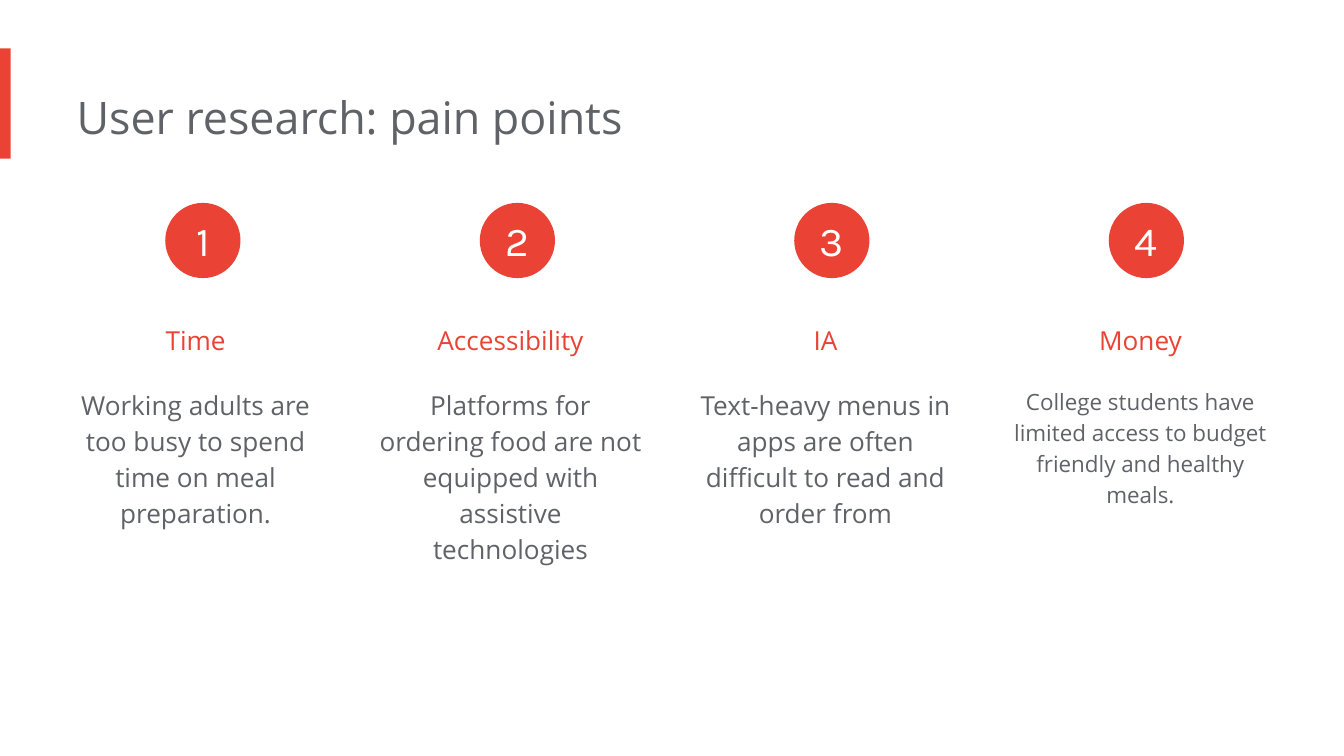
from pptx import Presentation
from pptx.dml.color import RGBColor
from pptx.enum.shapes import MSO_SHAPE as SHAPE
from pptx.enum.text import MSO_ANCHOR as ANCHOR, MSO_AUTO_SIZE as AUTO, PP_ALIGN as ALIGN
from pptx.util import Inches, Pt

RED, GREY, WHITE = "EA4335", "5F6368", "FFFFFF"
BODY_FONT, NUMBER_FONT = "Open Sans", "Karla"
FIRST_COL, LAST_COL, COL_WIDTH = 0.48, 7.51, 2.05
FIRST_BADGE, LAST_BADGE, BADGE_SIZE = 1.23, 8.25, 0.56
BADGE_ROW, HEADING_ROW, DETAIL_ROW = 1.51, 2.2, 2.76

PAIN_POINTS = [
    ("Time", "Working adults are too busy to spend time on meal preparation.", 14, 1.25),
    ("Accessibility", "Platforms for ordering food are not equipped with assistive technologies", 14, 1.76),
    ("IA", "Text-heavy menus in apps are often difficult to read and order from", 14, 1.25),
    ("Money", "College students have limited access to budget friendly and healthy meals.", 12, 1.1),
]


def color(value):
    return RGBColor.from_string(value)


def column_left(first, last, i):
    return first + (last - first) * i / (len(PAIN_POINTS) - 1)


def set_text(tf, text, size, font, fill, align=ALIGN.LEFT, spacing=None):
    p = tf.paragraphs[0]
    p.text = text
    p.alignment = align
    p.line_spacing = spacing
    r = p.runs[0]
    r.font.size = Pt(size)
    r.font.name = font
    r.font.color.rgb = color(fill)


def set_margins(tf, left, top, right, bottom):
    tf.margin_left, tf.margin_top = Inches(left), Inches(top)
    tf.margin_right, tf.margin_bottom = Inches(right), Inches(bottom)


def add_text(s, box, text, size, fill, align=ALIGN.LEFT, spacing=None):
    tf = s.shapes.add_textbox(*map(Inches, box)).text_frame
    tf.word_wrap = True
    tf.auto_size = AUTO.SHAPE_TO_FIT_TEXT
    set_margins(tf, 0, 0.1, 0.1, 0.1)
    set_text(tf, text, size, BODY_FONT, fill, align, spacing)


def add_solid(s, kind, box):
    sp = s.shapes.add_shape(kind, *map(Inches, box))
    sp.shadow.inherit = False
    sp.fill.solid()
    sp.fill.fore_color.rgb = color(RED)
    sp.line.fill.background()
    return sp


def add_badge(s, left, number):
    sp = add_solid(s, SHAPE.OVAL, (left, BADGE_ROW, BADGE_SIZE, BADGE_SIZE))
    tf = sp.text_frame
    tf.vertical_anchor = ANCHOR.MIDDLE
    set_margins(tf, 0, 0, 0, 0)
    set_text(tf, str(number), 22, NUMBER_FONT, WHITE, ALIGN.CENTER)


def add_pain_point(s, i, heading, detail, size, height):
    left = column_left(FIRST_COL, LAST_COL, i)
    add_text(s, (left, HEADING_ROW, COL_WIDTH, 0.44), heading, 14, RED, ALIGN.CENTER, 1.5)
    add_text(s, (left, DETAIL_ROW, COL_WIDTH, height), detail, size, GREY, ALIGN.CENTER, 1.15)
    add_badge(s, column_left(FIRST_BADGE, LAST_BADGE, i), i + 1)


def main():
    prs = Presentation()
    prs.slide_width = Inches(10)
    prs.slide_height = Inches(10) * 9 // 16
    s = prs.slides.add_slide(prs.slide_layouts[6])
    s.background.fill.solid()
    s.background.fill.fore_color.rgb = color(WHITE)
    add_solid(s, SHAPE.RECTANGLE, (0, 0.36, 0.08, 0.82))
    add_text(s, (0.57, 0.57, 6.73, 0.61), "User research: pain points", 24, GREY)
    for i, point in enumerate(PAIN_POINTS):
        add_pain_point(s, i, *point)
    prs.save("out.pptx")


if __name__ == "__main__":
    main()
